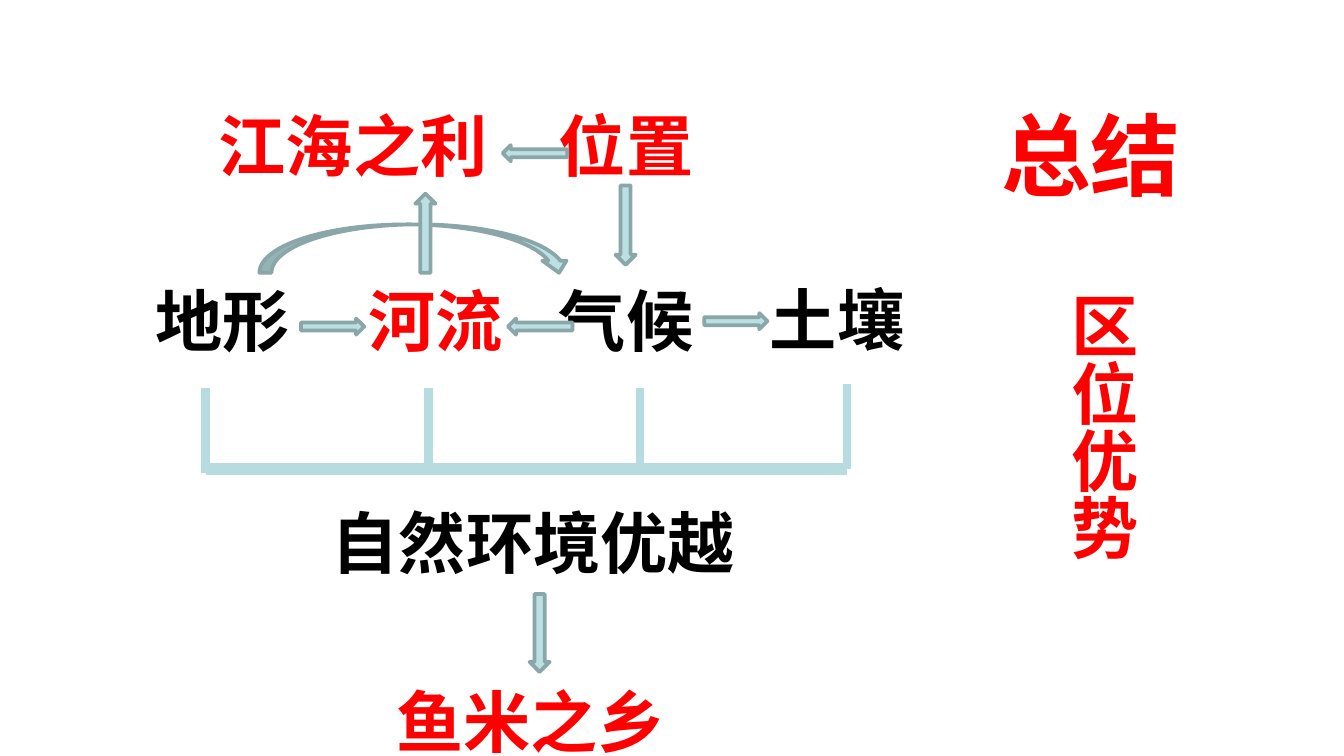
import pptx
import pptx.util
import pptx.dml.color
import pptx.enum.text
import pptx.enum.shapes
import pptx.oxml
import pptx.oxml.ns
from lxml import etree

Inches, Pt = pptx.util.Inches, pptx.util.Pt
Kind = pptx.enum.shapes.MSO_SHAPE
RED, BLACK = "FF0000", "000000"
PALE, EDGE, RAIL = "BBE0E3", "8AA6A8", "B6DCDF"
CJK = "Noto Sans CJK SC"

# Content: text, left, top, width, colour
labels = [
    ("江海之利", 1.53, 0.73, 2.37, RED),
    ("位置", 4.06, 0.73, 1.34, RED),
    ("地形", 1.06, 2.03, 1.34, BLACK),
    ("河流", 2.64, 2.03, 1.34, RED),
    ("气候", 4.06, 2.03, 1.34, BLACK),
    ("土壤", 5.63, 2.02, 1.34, BLACK),
    ("自然环境优越", 2.37, 3.68, 3.44, BLACK),
    ("鱼米之乡", 2.85, 5.01, 2.62, RED),
]
# Arrows: shape, left, top, width, height
arrows = [
    (Kind.LEFT_ARROW, 3.74, 1.08, 0.48, 0.12),
    (Kind.DOWN_ARROW, 4.58, 1.38, 0.15, 0.59),
    (Kind.CURVED_DOWN_ARROW, 1.93, 1.67, 2.32, 0.36),
    (Kind.UP_ARROW, 3.09, 1.44, 0.15, 0.59),
    (Kind.RIGHT_ARROW, 2.24, 2.37, 0.47, 0.12),
    (Kind.LEFT_ARROW, 3.78, 2.37, 0.48, 0.12),
    (Kind.RIGHT_ARROW, 5.24, 2.33, 0.47, 0.12),
    (Kind.DOWN_ARROW, 3.94, 4.42, 0.15, 0.58),
]
# Bracket: x and foot of each post
posts = [(1.53, 3.52), (3.19, 3.52), (4.76, 3.52), (6.3, 3.49)]
base, rise = 3.49, 0.63


def paint(target, code):
    target.rgb = pptx.dml.color.RGBColor.from_string(code)


def write(box, text, size, code, face, east):
    frame = box.text_frame
    frame.text = text
    frame.word_wrap = True
    frame.auto_size = pptx.enum.text.MSO_AUTO_SIZE.SHAPE_TO_FIT_TEXT
    frame.vertical_anchor = pptx.enum.text.MSO_ANCHOR.TOP
    para = frame.paragraphs[0]
    para.alignment = pptx.enum.text.PP_ALIGN.LEFT
    font = para.runs[0].font
    font.size, font.bold, font.name = Pt(size), True, face
    paint(font.color, code)
    mark = etree.SubElement(font._element, pptx.oxml.ns.qn("a:ea"))
    mark.set("typeface", east)


def rule(x1, y1, x2, y2, width):
    line = slide.shapes.add_connector(
        pptx.enum.shapes.MSO_CONNECTOR.STRAIGHT,
        Inches(x1), Inches(y1), Inches(x2), Inches(y2))
    line.line.width = Pt(width)
    paint(line.line.color, RAIL)
    etree.SubElement(line._element.spPr, pptx.oxml.ns.qn("a:effectLst"))


# Slide of 16 by 9
deck = pptx.Presentation()
deck.slide_width = Inches(10)
deck.slide_height = Inches(10 * 9 / 16)
slide = deck.slides.add_slide(deck.slide_layouts[5])

# Title
title = slide.shapes.title
title.left, title.top = Inches(7.35), Inches(0.69)
title.width, title.height = Inches(2.42), Inches(0.91)
write(title, "总结", 48, RED, "Noto Sans CJK JP", "Noto Sans CJK JP")

# Labels
for text, left, top, width, code in labels:
    box = slide.shapes.add_textbox(
        Inches(left), Inches(top), Inches(width), Inches(0.71))
    write(box, text, 36, code, "Arial", CJK)

# Vertical label
side = slide.shapes.add_textbox(
    Inches(7.74), Inches(2.08), Inches(0.81), Inches(2.78))
write(side, "区位优势", 36, RED, CJK, CJK)
side.text_frame._txBody.bodyPr.set("vert", "eaVert")

# Arrows
for kind, *place in arrows:
    arrow = slide.shapes.add_shape(kind, *map(Inches, place))
    arrow.shadow.inherit = False
    arrow.fill.solid()
    paint(arrow.fill.fore_color, PALE)
    paint(arrow.line.color, EDGE)
    arrow.line.width = Pt(2)

# Bracket
rule(posts[0][0], base, posts[-1][0], base, 6)
for x, foot in posts:
    rule(x, foot, x, foot - rise, 4.5)

deck.save("out.pptx")
